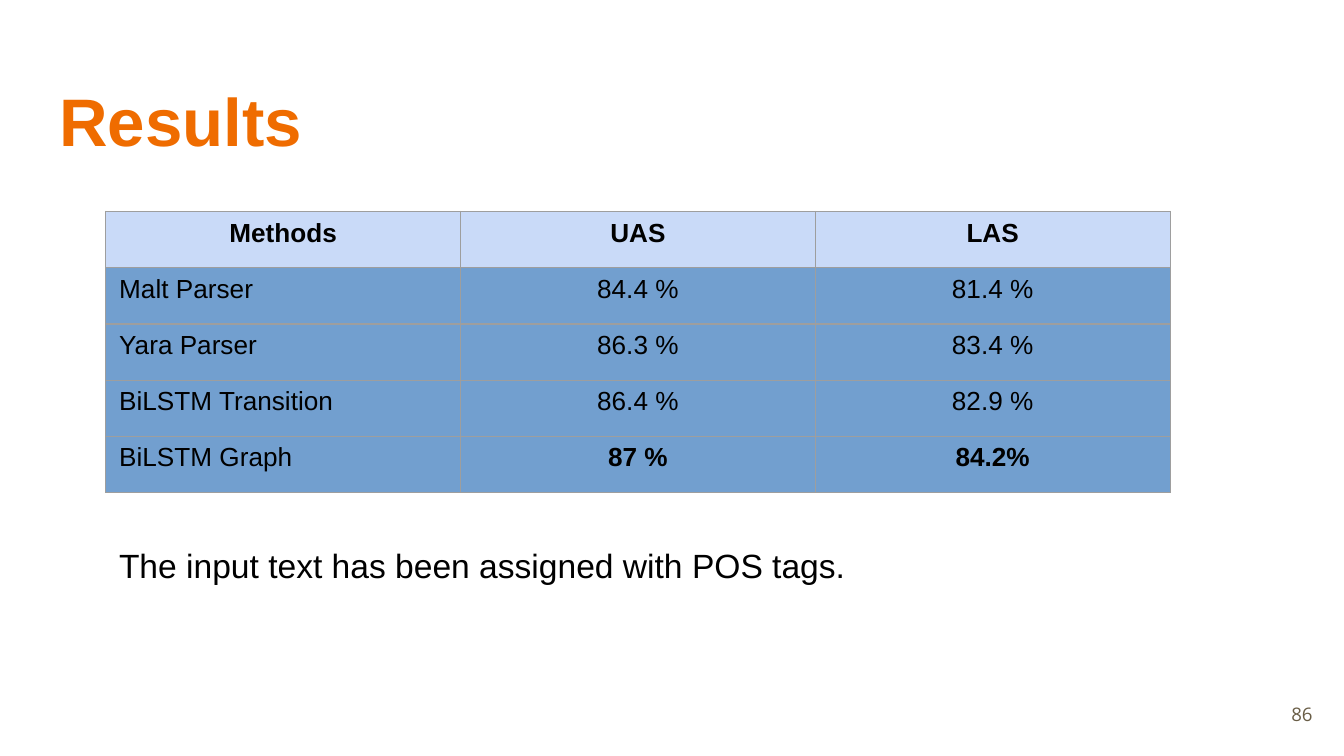
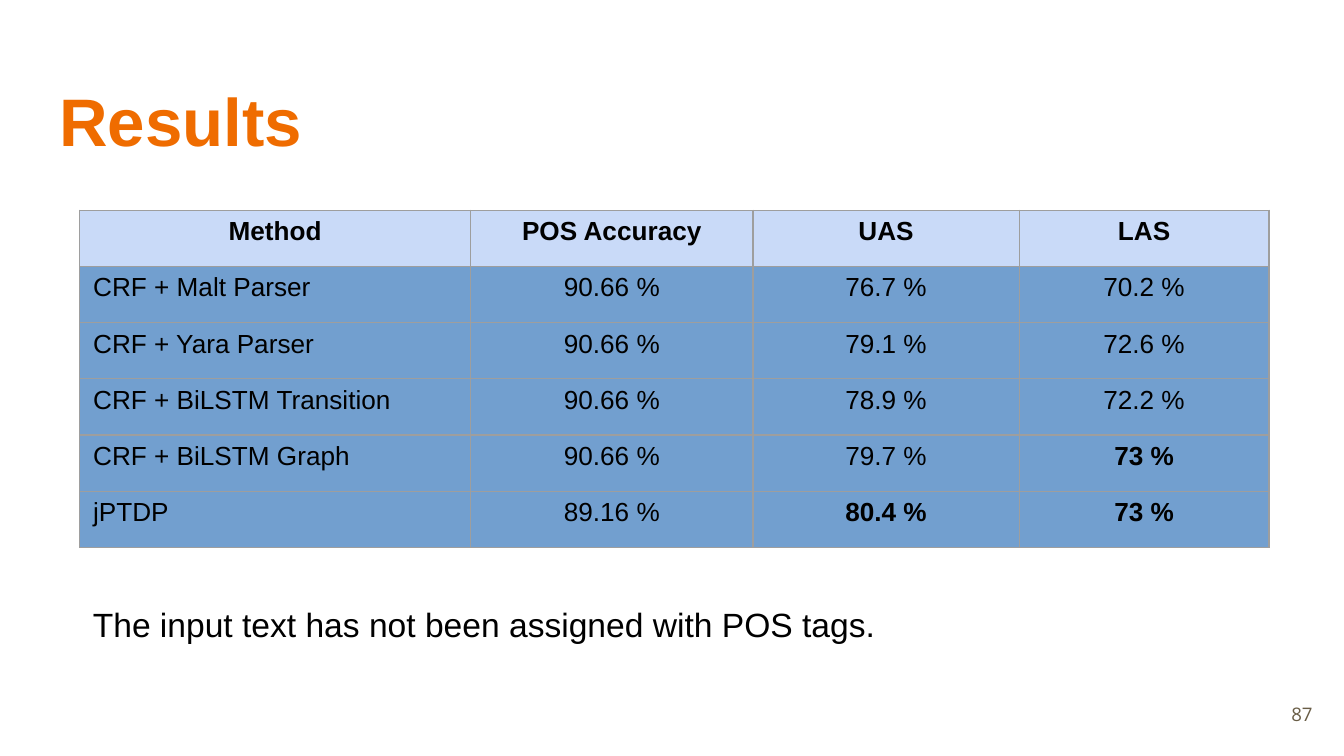
from dataclasses import dataclass
from lxml import etree
from pptx import Presentation
from pptx.dml.color import RGBColor
from pptx.enum.text import MSO_ANCHOR, MSO_AUTO_SIZE, PP_ALIGN
from pptx.oxml.ns import qn
from pptx.util import Inches, Pt

LEFT, CENTER, RIGHT = PP_ALIGN.LEFT, PP_ALIGN.CENTER, PP_ALIGN.RIGHT
TOP, MIDDLE = MSO_ANCHOR.TOP, MSO_ANCHOR.MIDDLE
FIXED = MSO_AUTO_SIZE.NONE
WIDE = Inches(10)
HIGH = WIDE * 9 // 16
PAD = Inches(0.1)
TITLE_ONLY = 5
SCORES = ("UAS", "LAS")


@dataclass(frozen=True)
class Theme:
    font: str = "Arial"
    page_font: str = "Open Sans"
    accent: str = "EF6C00"
    ink: str = "000000"
    muted: str = "695D46"
    head: str = "C9DAF8"
    body: str = "729FCF"
    rule: str = "9E9E9E"
    title_size: int = 36
    note_size: int = 18
    cell_size: int = 14
    page_size: int = 10
    rule_size: float = 0.75
    right: float = 96.6
    bottom: float = 89.8
    row: float = 7.44


THEME = Theme()


def across(share):
    return round(WIDE * share / 100)


def down(share):
    return round(HIGH * share / 100)


def place(shape, x, y, w, h):
    shape.left, shape.top = across(x), down(y)
    shape.width, shape.height = across(w), down(h)


def write(frame, text, size, color, bold=False, align=LEFT, font=THEME.font):
    frame.text = text
    par = frame.paragraphs[0]
    par.alignment = align
    for run in par.runs:
        run.font.name = font
        run.font.size = Pt(size)
        run.font.bold = bold
        run.font.color.rgb = RGBColor.from_string(color)
    return par


def fit(frame, anchor=TOP):
    frame.word_wrap = True
    frame.auto_size = FIXED
    frame.vertical_anchor = anchor
    frame.margin_left = frame.margin_right = PAD
    frame.margin_top = frame.margin_bottom = PAD


def add_text(slide, box, anchor=TOP):
    shape = slide.shapes.add_textbox(0, 0, 0, 0)
    place(shape, *box)
    fit(shape.text_frame, anchor)
    return shape.text_frame


def add_title(slide, text):
    title = slide.shapes.title
    place(title, 3.4, 8.65, 93.2, 13.7)
    fit(title.text_frame)
    write(title.text_frame, text, THEME.title_size, THEME.accent, True)


def add_note(slide, text, x, y):
    frame = add_text(slide, (x, y, THEME.right - x, THEME.bottom - y))
    write(frame, text, THEME.note_size, THEME.ink).line_spacing = 1.15


def add_page(slide, page):
    frame = add_text(slide, (92.65, 90.67, 6, 7.65), MIDDLE)
    write(frame, str(page), THEME.page_size, THEME.muted,
          align=RIGHT, font=THEME.page_font)


def add_rules(cell):
    props = cell._tc.get_or_add_tcPr()
    for side in ("a:lnL", "a:lnR", "a:lnT", "a:lnB"):
        line = etree.SubElement(props, qn(side), w=str(Pt(THEME.rule_size)))
        fill = etree.SubElement(line, qn("a:solidFill"))
        etree.SubElement(fill, qn("a:srgbClr"), val=THEME.rule)


def score(text):
    return float(text.rstrip(" %"))


def find_best(rows):
    head, *body = rows
    return {col: max(score(row[col]) for row in body)
            for col, name in enumerate(head) if name in SCORES}


def add_grid(slide, rows, x, y, cols):
    frame = slide.shapes.add_table(
        len(rows), len(cols), across(x), down(y),
        across(sum(cols)), down(THEME.row * len(rows)))
    table = frame.table
    for col, width in zip(table.columns, cols):
        col.width = across(width)
    for row in table.rows:
        row.height = down(THEME.row)
    best = find_best(rows)
    for r, row in enumerate(rows):
        for c, text in enumerate(row):
            cell = table.cell(r, c)
            add_rules(cell)
            cell.fill.solid()
            color = THEME.body if r else THEME.head
            cell.fill.fore_color.rgb = RGBColor.from_string(color)
            bold = r == 0 or (c in best and score(text) == best[c])
            align = LEFT if r and c == 0 else CENTER
            write(cell.text_frame, text, THEME.cell_size, THEME.ink,
                  bold, align)


def add_results(deck, page, rows, x, y, cols, note, note_y):
    slide = deck.slides.add_slide(deck.slide_layouts[TITLE_ONLY])
    add_title(slide, "Results")
    add_note(slide, note, x, note_y)
    add_page(slide, page)
    add_grid(slide, rows, x, y, cols)


TAGGED = (
    ("Methods", "UAS", "LAS"),
    ("Malt Parser", "84.4 %", "81.4 %"),
    ("Yara Parser", "86.3 %", "83.4 %"),
    ("BiLSTM Transition", "86.4 %", "82.9 %"),
    ("BiLSTM Graph", "87 %", "84.2%"),
)
RAW = (
    ("Method", "POS Accuracy", "UAS", "LAS"),
    ("CRF + Malt Parser", "90.66 %", "76.7 %", "70.2 %"),
    ("CRF + Yara Parser", "90.66 %", "79.1 %", "72.6 %"),
    ("CRF + BiLSTM Transition", "90.66 %", "78.9 %", "72.2 %"),
    ("CRF + BiLSTM Graph", "90.66 %", "79.7 %", "73 %"),
    ("jPTDP", "89.16 %", "80.4 %", "73 %"),
)


def main():
    deck = Presentation()
    deck.slide_width, deck.slide_height = WIDE, HIGH
    add_results(deck, 86, TAGGED, 7.87, 27.98, (26.4,) * 3,
                "The input text has been assigned with POS tags.", 69.5)
    add_results(deck, 87, RAW, 5.93, 27.8, (29.1, 21, 19.8, 18.6),
                "The input text has not been assigned with POS tags.", 77.33)
    deck.save("out.pptx")


if __name__ == "__main__":
    main()
